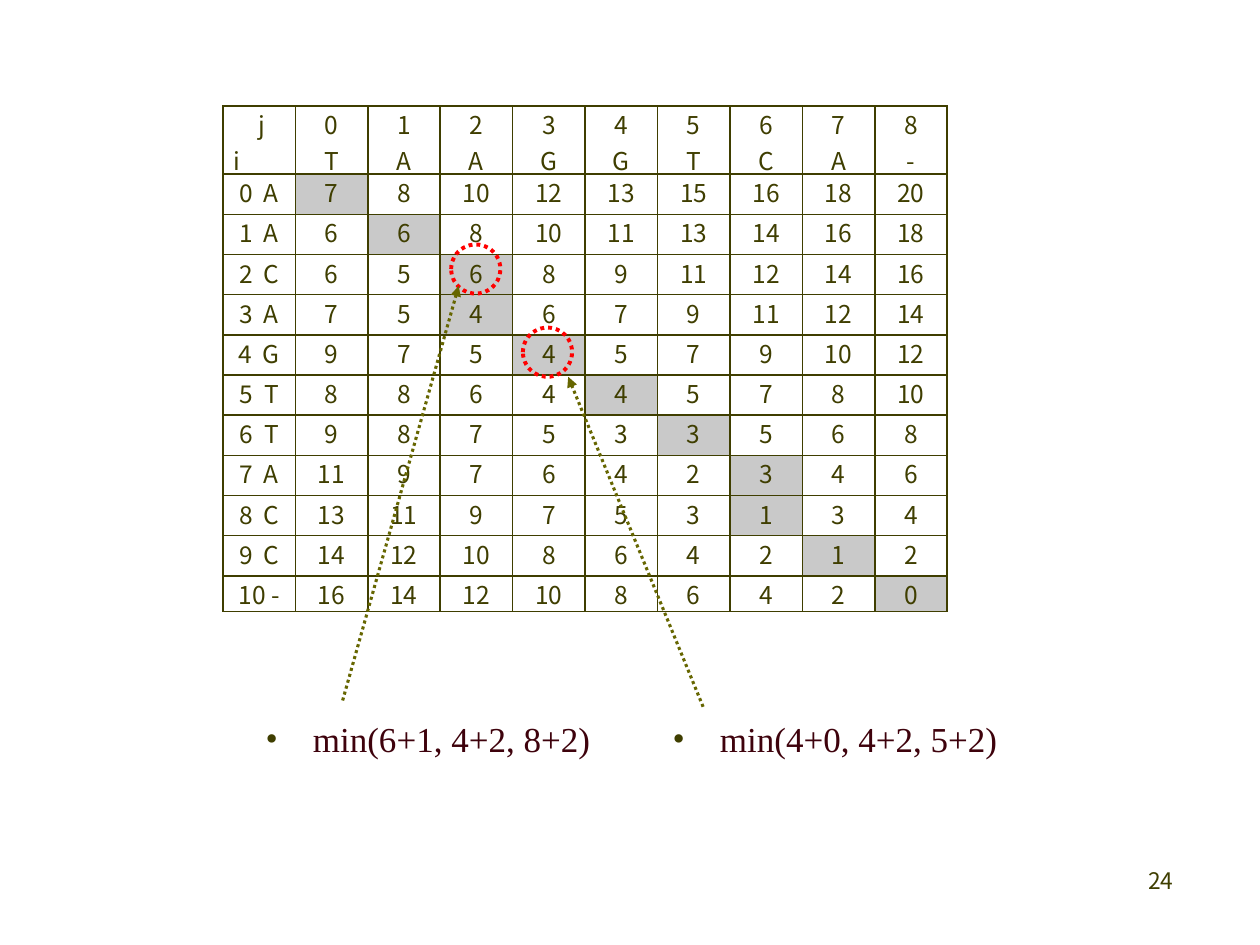
from lxml.etree import SubElement
from pptx import Presentation
from pptx.dml.color import RGBColor
from pptx.enum.dml import MSO_LINE
from pptx.enum.shapes import MSO_CONNECTOR, MSO_SHAPE
from pptx.enum.text import MSO_AUTO_SIZE, PP_ALIGN
from pptx.oxml.ns import qn
from pptx.util import Pt

INK, GREY, RED, OLIVE, WINE = "3F3E00", "C9C9C9", "FF0000", "666600", "3E020C"
SANS, SERIF = "Noto Sans CJK KR", "Times New Roman"
COLUMN_LETTERS = "TAAGGTCA-"
ROWS = [
    ("0  A", [7, 8, 10, 12, 13, 15, 16, 18, 20]),
    ("1  A", [6, 6, 8, 10, 11, 13, 14, 16, 18]),
    ("2  C", [6, 5, 6, 8, 9, 11, 12, 14, 16]),
    ("3  A", [7, 5, 4, 6, 7, 9, 11, 12, 14]),
    ("4  G", [9, 7, 5, 4, 5, 7, 9, 10, 12]),
    ("5  T", [8, 8, 6, 4, 4, 5, 7, 8, 10]),
    ("6  T", [9, 8, 7, 5, 3, 3, 5, 6, 8]),
    ("7  A", [11, 9, 7, 6, 4, 2, 3, 4, 6]),
    ("8  C", [13, 11, 9, 7, 5, 3, 1, 3, 4]),
    ("9  C", [14, 12, 10, 8, 6, 4, 2, 1, 2]),
    ("10 -", [16, 14, 12, 10, 8, 6, 4, 2, 0]),
]
OPTIMAL_COLUMNS = [0, 1, 2, 2, 3, 4, 5, 6, 6, 7, 8]
TABLE_LEFT, TABLE_TOP, COLUMN_WIDTH = 127.4, 60.5, 41.4
ROW_HEIGHTS = [39] + [22.97] * 10 + [20.3]
CIRCLE_SIZE, NOTE_TOP, NOTE_WIDTH, NOTE_HEIGHT, INDENT = 28.1, 394.6, 206.6, 43.9, 27
NOTES = [
    {"text": "min(6+1, 4+2, 8+2)", "left": 144.7, "circle": (257.8, 139.7),
     "arrow": (195.8, 400.3, 262.1, 163.4)},
    {"text": "min(4+0, 4+2, 5+2)", "left": 377.3, "circle": (298.8, 187.2),
     "arrow": (401.8, 403.9, 324.7, 215.3)},
]
PAGE_NUMBER = ("24", (527.8, 491.8, 149.8, 36))


def color(value):
    """Turn a hex string into a colour."""
    return RGBColor.from_string(value)


def points(values):
    """Turn numbers into lengths in points."""
    return [Pt(value) for value in values]


def apply(target, values):
    """Set attributes from a dict."""
    for name, value in values.items():
        setattr(target, name, value)


def write(para, text, size, font, ink, align=PP_ALIGN.LEFT):
    """Put one formatted run into a paragraph."""
    para.alignment = align
    span = para.add_run()
    span.text = text
    apply(span.font, {"size": Pt(size), "name": font})
    span.font.color.rgb = color(ink)


def dotted(line, ink, width):
    """Give a line round dots."""
    line.color.rgb = color(ink)
    apply(line, {"width": Pt(width), "dash_style": MSO_LINE.ROUND_DOT})


def fill_cell(cell, lines, shaded):
    """Write, border and shade one table cell."""
    apply(cell, dict.fromkeys(("margin_left", "margin_right", "margin_top", "margin_bottom"), 0))
    for index, text in enumerate(lines):
        para = cell.text_frame.paragraphs[0] if index == 0 else cell.text_frame.add_paragraph()
        write(para, text, 14, SANS, INK, PP_ALIGN.CENTER)
    properties = cell._tc.get_or_add_tcPr()
    for side in ("a:lnL", "a:lnR", "a:lnT", "a:lnB"):
        border = SubElement(properties, qn(side), w=str(Pt(1)))
        SubElement(SubElement(border, qn("a:solidFill")), qn("a:srgbClr"), val=INK)
    if shaded:
        cell.fill.solid()
        cell.fill.fore_color.rgb = color(GREY)
    else:
        cell.fill.background()


def add_score_table(page):
    """Add the table of alignment scores."""
    header = [(" j", "i")] + [(str(number), letter) for number, letter in enumerate(COLUMN_LETTERS)]
    grid = [header] + [[(label,)] + [(str(score),) for score in scores] for label, scores in ROWS]
    place = points((TABLE_LEFT, TABLE_TOP, COLUMN_WIDTH * len(header), sum(ROW_HEIGHTS)))
    table = page.shapes.add_table(len(grid), len(header), *place).table
    apply(table, {"first_row": False, "horz_banding": False})
    for column in table.columns:
        column.width = Pt(COLUMN_WIDTH)
    for row, height in zip(table.rows, ROW_HEIGHTS):
        row.height = Pt(height)
    shaded = {(row + 1, column + 1) for row, column in enumerate(OPTIMAL_COLUMNS)}
    for row, cells in enumerate(grid):
        for column, lines in enumerate(cells):
            fill_cell(table.cell(row, column), lines, (row, column) in shaded)
    row_name = table.cell(0, 0).text_frame.paragraphs[1]
    row_name.alignment = PP_ALIGN.LEFT
    row_name._p.get_or_add_pPr().set("marL", str(Pt(6.3)))


def add_note(page, note):
    """Add a circle, its explanation and the arrow between them."""
    circle = page.shapes.add_shape(
        MSO_SHAPE.OVAL, *points((*note["circle"], CIRCLE_SIZE, CIRCLE_SIZE)))
    circle.shadow.inherit = False
    circle.fill.background()
    dotted(circle.line, RED, 2.25)

    box = page.shapes.add_textbox(*points((note["left"], NOTE_TOP, NOTE_WIDTH, NOTE_HEIGHT)))
    apply(box.text_frame, {"word_wrap": False, "auto_size": MSO_AUTO_SIZE.SHAPE_TO_FIT_TEXT})
    para = box.text_frame.paragraphs[0]
    write(para, note["text"], 20, SERIF, WINE)
    para.line_spacing = 1.5
    properties = para._p.get_or_add_pPr()
    apply_indent = {"marL": Pt(INDENT), "indent": Pt(-INDENT)}
    for name, value in apply_indent.items():
        properties.set(name, str(value))
    SubElement(SubElement(properties, qn("a:buClr")), qn("a:srgbClr"), val=INK)
    SubElement(properties, qn("a:buFont"), typeface=SERIF)
    SubElement(properties, qn("a:buChar"), char="•")

    arrow = page.shapes.add_connector(MSO_CONNECTOR.STRAIGHT, *points(note["arrow"]))
    dotted(arrow.line, OLIVE, 1.75)
    SubElement(arrow.line._get_or_add_ln(), qn("a:tailEnd"), type="triangle")
    SubElement(arrow._element.spPr, qn("a:effectLst"))


def main():
    """Build the slide."""
    deck = Presentation()
    apply(deck, {"slide_width": Pt(720), "slide_height": Pt(540)})
    page = deck.slides.add_slide(deck.slide_layouts[6])
    text, place = PAGE_NUMBER
    box = page.shapes.add_textbox(*points(place))
    box.text_frame.word_wrap = True
    write(box.text_frame.paragraphs[0], text, 13, SANS, INK, PP_ALIGN.RIGHT)
    add_score_table(page)
    for note in NOTES:
        add_note(page, note)
    deck.save("out.pptx")


main()
